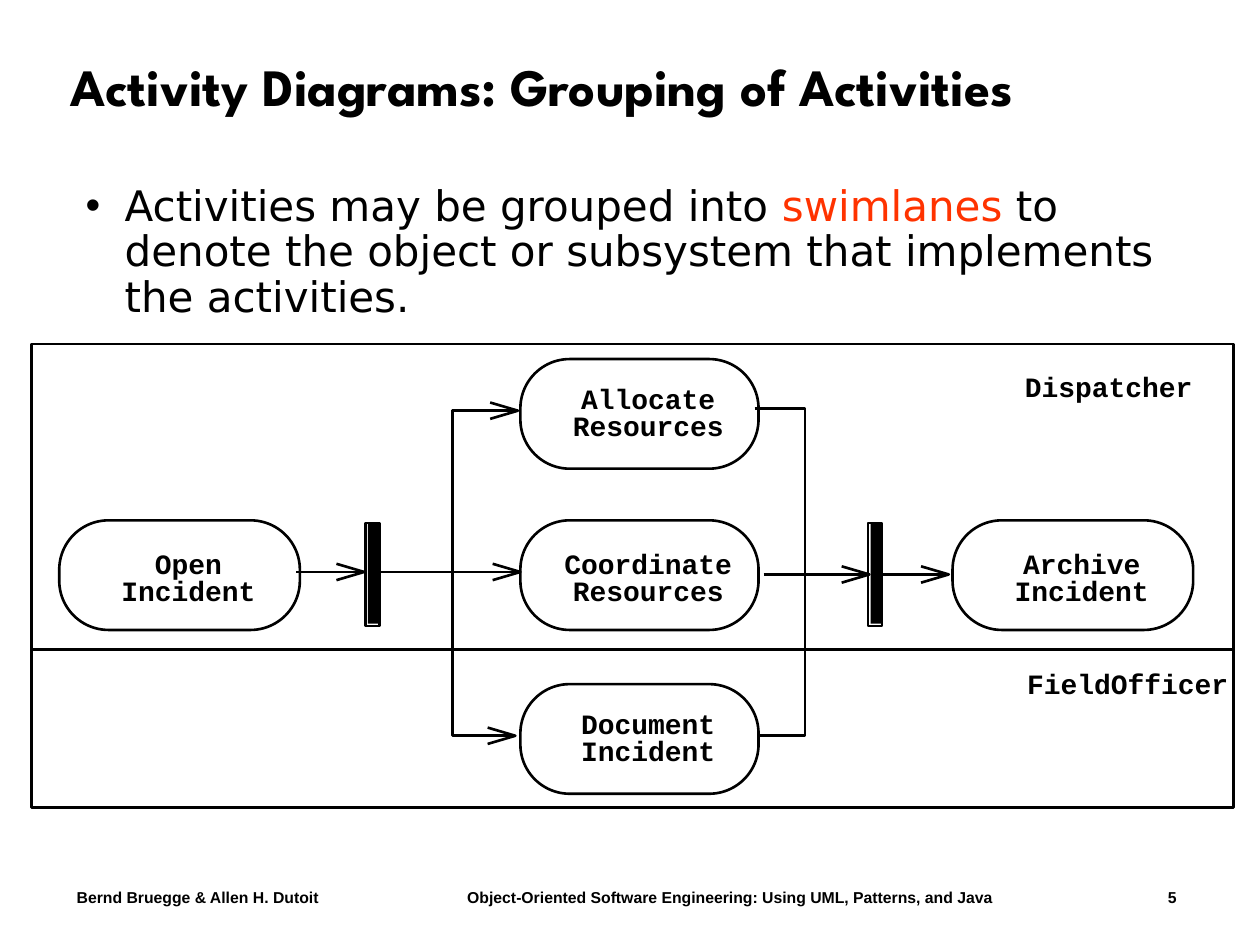
from pptx import Presentation
from pptx.dml.color import RGBColor
from pptx.enum.shapes import MSO_CONNECTOR, MSO_SHAPE
from pptx.enum.text import MSO_ANCHOR, MSO_AUTO_SIZE, PP_ALIGN
from pptx.oxml.ns import qn
from pptx.util import Inches, Pt
from lxml.etree import SubElement

BLACK = RGBColor(0x00, 0x00, 0x00)
RED = RGBColor(0xFF, 0x33, 0x00)


class Diagram:
    """Style and drawing methods for the current slide."""
    line_width = Pt(1.5)
    char_width = 0.133
    head_length, head_half = 0.22, 0.065

    def __init__(self, slide):
        self.s = slide

    def run(self, p, text, font, size, bold=False, color=BLACK):
        r = p.add_run()
        r.text = text
        r.font.name, r.font.size, r.font.bold = font, Pt(size), bold
        r.font.color.rgb = color

    def place(self, sp, x, y, w, h):
        sp.left, sp.top, sp.width, sp.height = map(Inches, (x, y, w, h))
        tf = sp.text_frame
        tf.word_wrap = True
        tf.auto_size = MSO_AUTO_SIZE.NONE
        p = tf.paragraphs[0]
        p.alignment, p.line_spacing = PP_ALIGN.LEFT, 0.9
        return tf, p

    def outline(self, sp):
        sp.shadow.inherit = False
        sp.fill.background()
        sp.line.color.rgb, sp.line.width = BLACK, self.line_width

    def box(self, x, y, w, h, kind=MSO_SHAPE.RECTANGLE):
        sp = self.s.shapes.add_shape(kind, *map(Inches, (x, y, w, h)))
        self.outline(sp)
        return sp

    def label(self, text, center, y):
        w = self.char_width * len(text)
        tb = self.s.shapes.add_textbox(*map(Inches, (center - w / 2, y, w, 0.27)))
        tf = tb.text_frame
        tf.margin_left = tf.margin_right = tf.margin_top = tf.margin_bottom = 0
        tf.word_wrap = False
        p = tf.paragraphs[0]
        p.alignment = PP_ALIGN.CENTER
        self.run(p, text, "Courier New", 16, True)

    def activity(self, words, x, y, w, text_dy):
        sp = self.box(x, y, w, 0.87, MSO_SHAPE.ROUNDED_RECTANGLE)
        sp.adjustments[0] = 0.45
        for i, word in enumerate(words):
            self.label(word, x + w / 2 + 0.07, y + text_dy + i * 0.215)

    def sync_bar(self, x, y):
        bar = self.box(x + 0.02, y, 0.09, 0.8)
        bar.fill.solid()
        bar.fill.fore_color.rgb = BLACK
        bar.line.fill.background()
        self.box(x, y, 0.11, 0.82)

    def polyline(self, *points):
        start, *rest = [tuple(map(Inches, pt)) for pt in points]
        fb = self.s.shapes.build_freeform(*start)
        fb.add_line_segments(rest, close=False)
        self.outline(fb.convert_to_shape())

    def arrow(self, x1, x2, y):
        cn = self.s.shapes.add_connector(
            MSO_CONNECTOR.STRAIGHT, *map(Inches, (x1, y, x2, y)))
        cn.line.color.rgb, cn.line.width = BLACK, self.line_width
        SubElement(cn._element.spPr, qn("a:effectLst"))
        back = x2 - self.head_length
        self.polyline((back, y - self.head_half), (x2, y), (back, y + self.head_half))


prs = Presentation()
prs.slide_width, prs.slide_height = Inches(10), Inches(7.5)
s = prs.slides.add_slide(prs.slide_layouts[1])
d = Diagram(s)

# Title
tf, p = d.place(s.shapes.title, 0.46, 0.24, 8.92, 0.94)
tf.vertical_anchor = MSO_ANCHOR.MIDDLE
d.run(p, "Activity Diagrams: Grouping of Activities", "League Spartan", 30, True)

# Bullet text
tf, p = d.place(s.placeholders[1], 0.58, 1.42, 8.75, 5.25)
p.space_before = Pt(9)
pPr = p._p.get_or_add_pPr()
pPr.set("marL", str(Inches(0.31)))
pPr.set("indent", str(Inches(-0.31)))
SubElement(pPr, qn("a:buChar")).set("char", "•")
for text, color in (("Activities may be grouped into ", BLACK), ("swimlanes", RED),
                    (" to denote the object or subsystem that implements the activities.", BLACK)):
    d.run(p, text, "DejaVu Sans", 24, color=color)

# Swimlanes
for name, center, name_y, y, h in (("Dispatcher", 8.8, 2.93, 2.73, 2.43),
                                   ("FieldOfficer", 8.95, 5.29, 5.15, 1.26)):
    d.box(0.25, y, 9.54, h)
    d.label(name, center, name_y)

# Activities
for words, x, y, w, text_dy in (
        (("Open", "Incident"), 0.47, 4.13, 1.91, 0.21),
        (("Allocate", "Resources"), 4.13, 2.85, 1.89, 0.18),
        (("Coordinate", "Resources"), 4.13, 4.13, 1.89, 0.21),
        (("Document", "Incident"), 4.13, 5.43, 1.89, 0.18),
        (("Archive", "Incident"), 7.56, 4.13, 1.91, 0.21)):
    d.activity(words, x, y, w, text_dy)

# Fork and join bars
for x in (2.9, 6.89):
    d.sync_bar(x, 4.15)

# Branches above and below the main flow
d.polyline((3.87, 3.26), (3.59, 3.26), (3.59, 5.84), (3.85, 5.84))
d.polyline((5.99, 3.24), (6.39, 3.24), (6.39, 5.84), (6.02, 5.84))

# Arrows
for x1, x2, y in ((2.35, 2.89, 4.54), (3.02, 4.13, 4.54), (6.06, 6.9, 4.56),
                  (6.97, 7.53, 4.56), (3.87, 4.11, 3.26), (3.85, 4.09, 5.84)):
    d.arrow(x1, x2, y)

# Footer, set out with tab stops
tb = s.shapes.add_textbox(0, 0, 0, 0)
tf, p = d.place(tb, 0.51, 7, 9.05, 0.25)
p.line_spacing = 1.0
tabs = SubElement(p._p.get_or_add_pPr(), qn("a:tabLst"))
for pos, align in ((3.1, "l"), (8.73, "r")):
    tab = SubElement(tabs, qn("a:tab"))
    tab.set("pos", str(Inches(pos)))
    tab.set("algn", align)
d.run(p, "Bernd Bruegge & Allen H. Dutoit\tObject-Oriented Software Engineering: "
         "Using UML, Patterns, and Java\t5", "Arial", 9, True)

prs.save("out.pptx")
